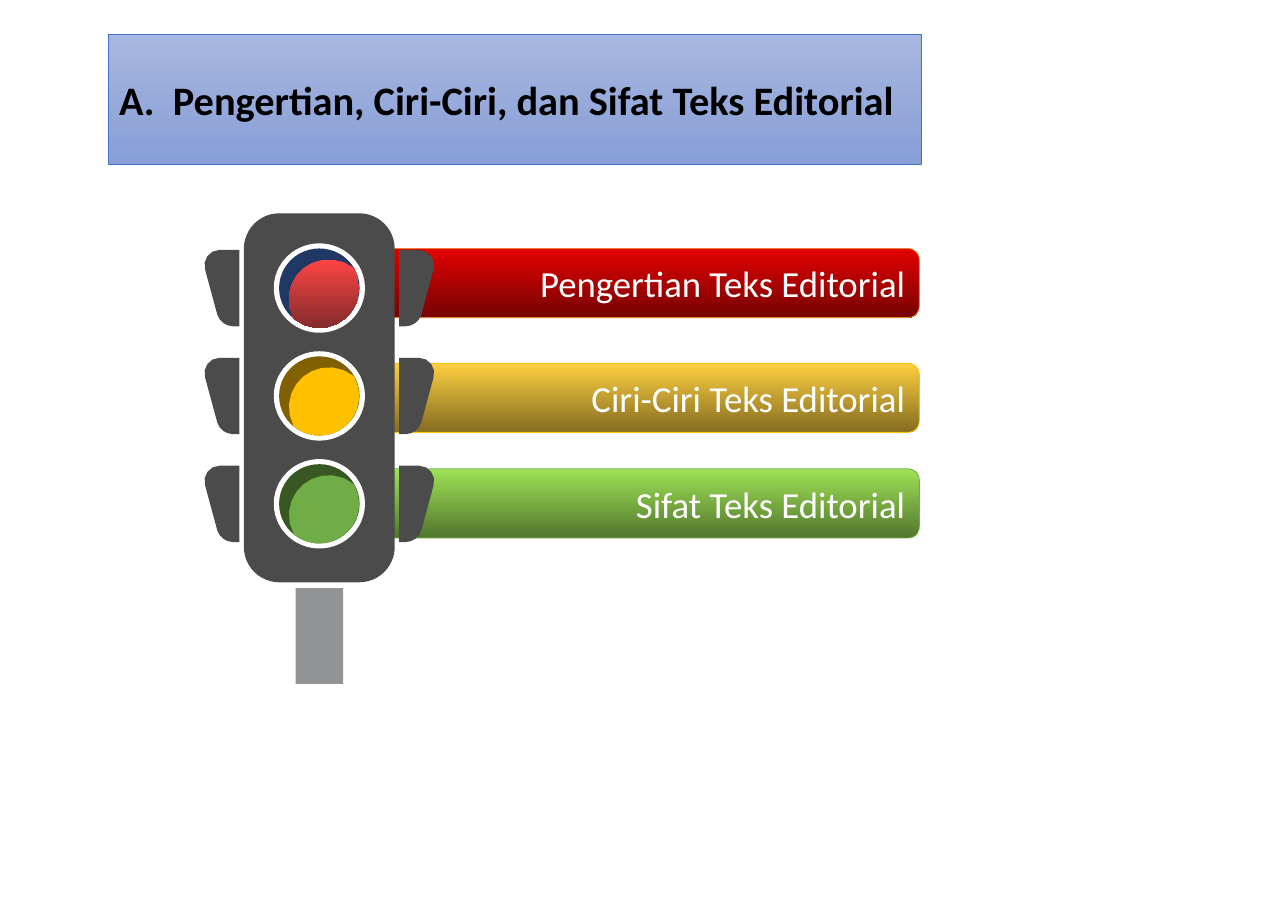
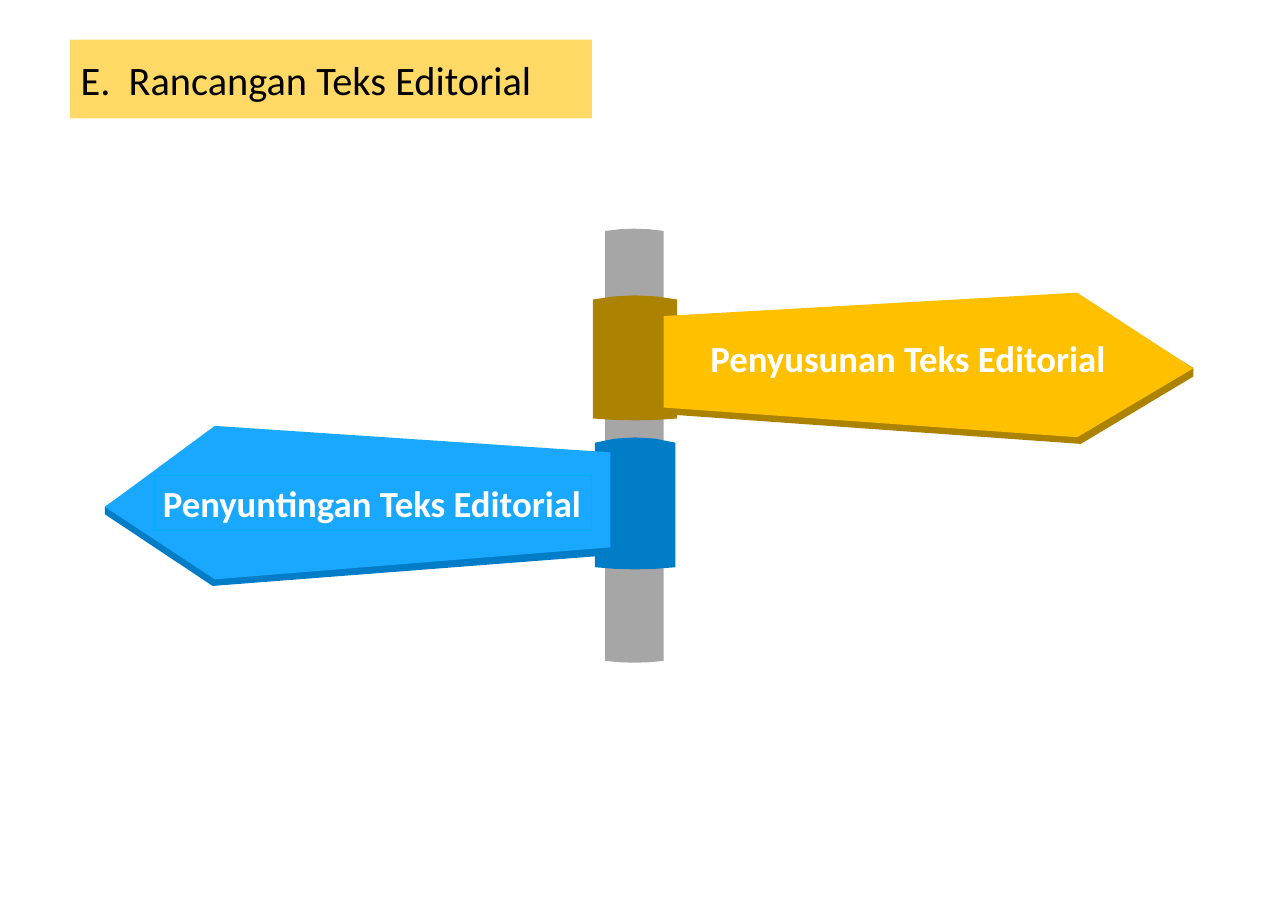
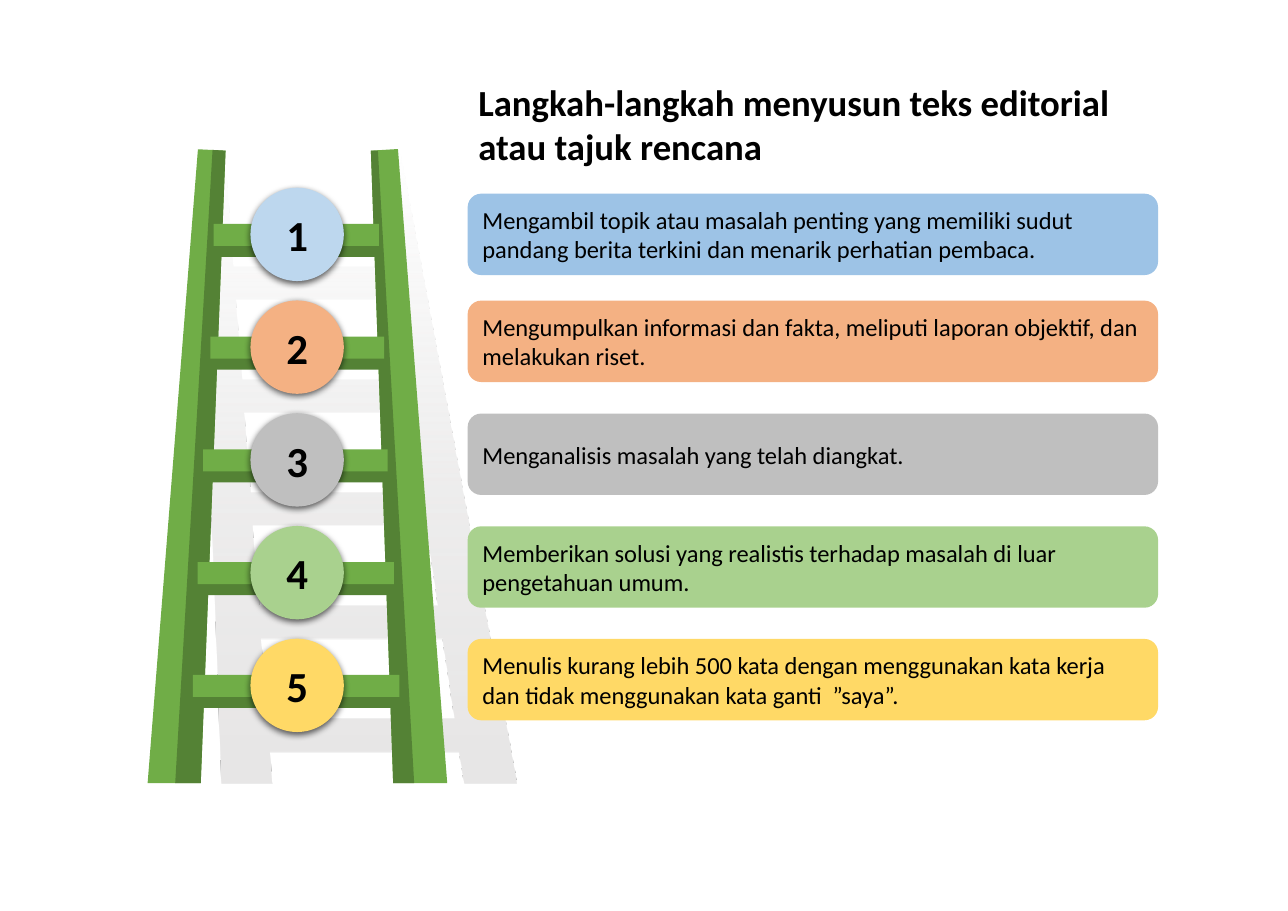
from copy import deepcopy
from math import atan2, cos, pi, sin, sqrt

from lxml import etree
from pptx import Presentation
from pptx.dml.color import RGBColor
from pptx.enum.shapes import MSO_SHAPE
from pptx.enum.text import MSO_ANCHOR, PP_ALIGN
from pptx.oxml.ns import qn
from pptx.util import Pt

RECT, ROUND, OVAL = MSO_SHAPE.RECTANGLE, MSO_SHAPE.ROUNDED_RECTANGLE, MSO_SHAPE.OVAL
LEFT, CENTER, RIGHT = PP_ALIGN.LEFT, PP_ALIGN.CENTER, PP_ALIGN.RIGHT
MIDDLE, TOP = MSO_ANCHOR.MIDDLE, MSO_ANCHOR.TOP

COLORS = {
    "black": "000000", "white": "FFFFFF", "housing": "4B4B4B", "post": "939496",
    "title top": "A8B7DF", "title base": "889ED7", "title line": "4472C4",
    "red top": "E30000", "red base": "760303", "red line": "ED7D31",
    "red rim": "203864", "lamp top": "FE4444", "lamp base": "832B2B",
    "amber top": "FECF40", "amber base": "846C21", "amber": "FFC000", "amber rim": "806000",
    "lime top": "9EE256", "lime base": "52762D", "green": "70AD47", "green rim": "385723",
    "pole": "A6A6A6", "ochre": "AC8300", "sky": "1AA8FE", "ocean": "017CC7", "cyan": "00B0F0",
    "moss": "548235", "mist": "E7E6E6", "pale blue": "BDD7EE", "blue": "9DC3E6",
    "peach": "F4B183", "gray": "BFBFBF", "mint": "A9D18E", "yellow": "FFD966",
}
TITLE = {"name": "Calibri", "size": Pt(26.4)}
LABEL = {"name": "Calibri", "size": Pt(24)}
STEP = {"name": "Calibri", "size": Pt(16)}
NUMBER = {"name": "Calibri", "size": Pt(28), "bold": True}


def draw(page, form, fill=None, line=None, box=None, width=0.5):
    if box:
        shape = page.shapes.add_shape(form, *map(Pt, box))
    else:
        builder = None
        for contour in form:
            points = []
            for node in contour:
                if len(node) == 2:
                    points.append(node)
                    continue
                (ax, ay), (bx, by, cx, cy, dx, dy) = points[-1], node
                for t in (n / 4 for n in range(1, 5)):
                    a, b, c, d = (1 - t) ** 3, 3 * t * (1 - t) ** 2, 3 * t * t * (1 - t), t ** 3
                    points.append((a * ax + b * bx + c * cx + d * dx, a * ay + b * by + c * cy + d * dy))
            corners = [(Pt(x), Pt(y)) for x, y in points]
            if builder is None:
                builder = page.shapes.build_freeform(*corners[0])
            else:
                builder.move_to(*corners[0])
            builder.add_line_segments(corners[1:])
        shape = builder.convert_to_shape()
    shape.shadow.inherit = False
    if fill is None:
        shape.fill.background()
    elif isinstance(fill, tuple):
        shape.fill.gradient()
        shape.fill.gradient_angle = 270
        for stop, color in zip(shape.fill.gradient_stops, fill):
            stop.color.rgb = RGBColor.from_string(COLORS[color])
    else:
        shape.fill.solid()
        shape.fill.fore_color.rgb = RGBColor.from_string(COLORS[fill])
    if line is None:
        shape.line.fill.background()
    else:
        shape.line.color.rgb = RGBColor.from_string(COLORS[line])
        shape.line.width = Pt(width)
    return shape


def write(shape, text, style, color="black", align=LEFT, **layout):
    frame = shape.text_frame
    for key, value in {"word_wrap": True, "vertical_anchor": MIDDLE, **layout}.items():
        setattr(frame, key, value)
    para = frame.paragraphs[0]
    para.alignment = align
    span = para.add_run()
    span.text = text
    for key, value in style.items():
        setattr(span.font, key, value)
    span.font.color.rgb = RGBColor.from_string(COLORS[color])


deck = Presentation()
deck.slide_width, deck.slide_height = Pt(841.68), Pt(595.44)
lights_page, signs_page, ladder_page = [deck.slides.add_slide(deck.slide_layouts[6]) for _ in range(3)]

banner = draw(lights_page, RECT, ("title top", "title base"), "title line", (70.8, 22.4, 531.3, 85))
write(banner, "A.  Pengertian, Ciri-Ciri, dan Sifat Teks Editorial", {**TITLE, "bold": True})

bars = [
    ("Ciri-Ciri Teks Editorial", 237.4, ("amber top", "amber base"), "amber"),
    ("Sifat Teks Editorial", 306.4, ("lime top", "lime base"), "green"),
    ("Pengertian Teks Editorial", 162.4, ("red top", "red base"), "red line"),
]
for text, top, fill, line in bars:
    bar = draw(lights_page, ROUND, fill, line, (193.2, top, 407.6, 45.2))
    write(bar, text, LABEL, "white", RIGHT)

housing = draw(lights_page, ROUND, "housing", box=(159.4, 139.4, 98.6, 241.2))
housing.adjustments[0] = 0.235
draw(lights_page, RECT, "post", box=(193.2, 384.4, 31, 62.6))

middle, radius, shift_x, shift_y = 208.7, 26.1, 3.1, 3.7
tilt = atan2(shift_y, shift_x) + pi / 2
lamps = [("red rim", ("lamp top", "lamp base")), ("amber rim", "amber"), ("green rim", "green")]
for row, (rim, glow) in enumerate(lamps):
    center = 188.3 + 70.5 * row
    for fill, reach_x, reach_y in (("white", 29.8, 29.2), (rim, 26.3, 25.9)):
        draw(lights_page, OVAL, fill, box=(middle - reach_x, center - reach_y, 2 * reach_x, 2 * reach_y))
    lens = []
    for step in range(20):
        x, y = cos(tilt + step * pi / 10), sin(tilt + step * pi / 10)
        lean = shift_x * x + shift_y * y
        reach = sqrt(radius ** 2 - shift_x ** 2 - shift_y ** 2 + lean ** 2) - abs(lean)
        lens.append((middle + shift_x + reach * x, center + shift_y + reach * y))
    draw(lights_page, [lens], glow)
    top = 163.4 + 70.5 * row
    visor = [(52.2, 0), (65.2, 0), (71.7, 0, 76.7, 6.5, 74.6, 13), (66.6, 42.5),
             (65.2, 46.8, 60.9, 49.9, 56.6, 49.9), (52.2, 49.9)]
    for side in (-1, 1):
        flap = [[middle + side * n if i % 2 == 0 else top + n for i, n in enumerate(node)] for node in visor]
        draw(lights_page, [flap], "housing")

heading = draw(signs_page, RECT, "yellow", box=(45.6, 25.9, 341.2, 51.6))
write(heading, "E.  Rancangan Teks Editorial", TITLE)

tubes = [
    ("pole", 395.4, 433.7, 151, 432, 1.5, 1.2, []),
    ("ochre", 387.5, 442.5, 195.8, 273.6, 2.7, 1.2, [
        ("ochre", [(706.3, 195.8), (433.7, 211.7), (433.7, 270.7), (706.3, 290.2), (779.8, 246.2), (779.8, 240.5)]),
        ("amber", [(704, 191.3), (433.7, 206.6), (433.7, 266.4), (704, 285.8), (779.8, 240.8)]),
    ]),
    ("ocean", 388.8, 441.4, 289.4, 370.8, 3.5, 1.4, [
        ("ocean", [(139, 283), (398.9, 300.2), (398.9, 362.9), (139, 383), (68.6, 336.2), (68.6, 331.2)]),
        ("sky", [(140.4, 278.4), (398.9, 295.7), (398.9, 357.8), (140.4, 378.7), (68.6, 331.4)]),
    ]),
]
for fill, left, right, top, base, crown, belly, boards in tubes:
    third = (right - left) / 3
    high, low = top - crown * 4 / 3, base + belly * 4 / 3
    draw(signs_page, [[(left, base), (left + third, low, right - third, low, right, base),
                       (right, top), (right - third, high, left + third, high, left, top)]], fill)
    for color, outline in boards:
        draw(signs_page, [outline], color)

blue_label = draw(signs_page, RECT, None, "cyan", (101, 311, 285.8, 36), 0.75)
write(blue_label, " Penyuntingan Teks Editorial", {**LABEL, "bold": True}, "white",
      word_wrap=False, margin_left=Pt(0))
draw(signs_page, RECT, None, "amber", (498.2, 218.2, 17.3, 36), 0.75)
amber_label = signs_page.shapes.add_textbox(*map(Pt, (457.2, 216, 272.9, 36)))
write(amber_label, "Penyusunan Teks Editorial", {**LABEL, "bold": True}, "white",
      word_wrap=False, vertical_anchor=TOP)

ladder_shade = [[(261.4, 99.4), (337.7, 511.9), (303.1, 511.9), (299.5, 491), (176.4, 491), (177.8, 511.9),
                 (144.7, 511.9), (129.6, 100.8), (146.9, 100.1), (152.6, 174.2), (254.2, 174.2), (243.4, 99.4)]]
for row in range(4):
    top = 196 + 73.7 * row
    ladder_shade.append([(154 + 5.5 * row, top), (158.4 + 5.5 * row, top + 52),
                         (264.2 + 10.8 * row, top + 52), (257 + 10.6 * row, top)])
shade = draw(ladder_page, ladder_shade, ("mist", "mist"))
shade.fill.gradient_angle = 90
stops = shade._element.spPr.find(qn("a:gradFill")).find(qn("a:gsLst"))
stops.insert(1, deepcopy(stops[0]))
for stop, place, alpha in zip(stops, (0, 48, 100), (100, 70, 0)):
    stop.set("pos", str(place * 1000))
    etree.SubElement(stop[0], qn("a:alpha"), val=str(alpha * 1000))

rails = [
    ("green", [(129.4, 97.6), (147.4, 98.5), (131.2, 511.9), (96.5, 511.9)]),
    ("moss", [(138.9, 98), (147.4, 98.5), (131.2, 511.9), (114.5, 511.9)]),
    ("green", [(260.1, 97.4), (292.3, 511.9), (257, 511.9), (242.4, 98.5)]),
    ("moss", [(247, 98.5), (270.7, 511.9), (257, 511.9), (242.4, 98.5)]),
]
for fill, outline in rails:
    draw(ladder_page, [outline], fill)

steps = [
    ("Mengambil topik atau masalah penting yang memiliki sudut pandang berita terkini dan menarik perhatian pembaca.",
     "pale blue", "blue", 126.6, 139.7, 247.7),
    ("Mengumpulkan informasi dan fakta, meliputi laporan objektif, dan melakukan riset.",
     "peach", "peach", 196.5, 137.5, 251),
    ("Menganalisis masalah yang telah diangkat.", "gray", "gray", 270.3, 132.8, 253.4),
    ("Memberikan solusi yang realistis terhadap masalah di luar pengetahuan umum.",
     "mint", "mint", 344, 129.2, 257.5),
    ("Menulis kurang lebih 500 kata dengan menggunakan kata kerja dan tidak menggunakan kata ganti  ”saya”.",
     "yellow", "yellow", 417.6, 126, 261.1),
]
for row, (text, disc_fill, card_fill, card_top, left, right) in enumerate(steps):
    drop = 73.7 * row
    for fill, top in (("moss", 153.5), ("green", 146.3)):
        draw(ladder_page, RECT, fill, box=(left, top + drop, right - left, 14.4))
    disc = draw(ladder_page, OVAL, disc_fill, box=(163.7, 122.7 + drop, 61, 61))
    effects = disc._element.spPr.find(qn("a:effectLst"))
    glow = etree.SubElement(effects, qn("a:outerShdw"), blurRad=str(Pt(4.5)), dist=str(Pt(1.5)),
                            dir="5400000", algn="ctr", rotWithShape="0")
    tint = etree.SubElement(glow, qn("a:srgbClr"), val=COLORS["black"])
    etree.SubElement(tint, qn("a:alpha"), val="63000")
    write(disc, str(row + 1), NUMBER, align=CENTER)
    card = draw(ladder_page, ROUND, card_fill, box=(305.6, card_top, 451.2, 53.2))
    write(card, text, STEP)

caption = ladder_page.shapes.add_textbox(*map(Pt, (305.5, 48.6, 460.1, 65.5)))
write(caption, "Langkah-langkah menyusun teks editorial atau tajuk rencana", {**LABEL, "bold": True},
      vertical_anchor=TOP)

deck.save("out.pptx")
